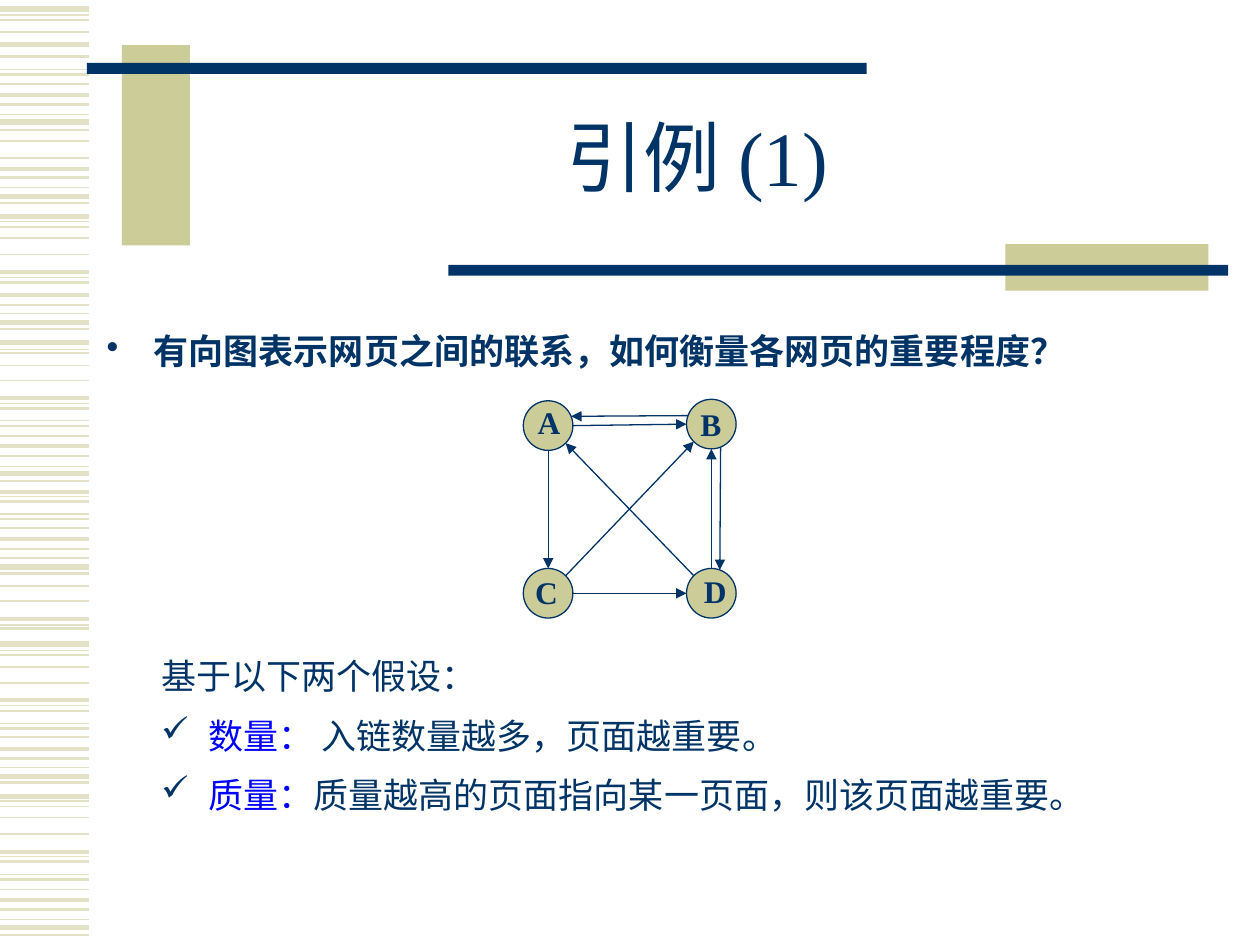
"""Build a slide that introduces page ranking with a small directed graph."""
from dataclasses import dataclass
from math import cos, radians, sin
from typing import NamedTuple

from lxml.etree import SubElement
from pptx import Presentation
from pptx.dml.color import RGBColor
from pptx.enum.shapes import MSO_CONNECTOR, MSO_SHAPE
from pptx.enum.text import MSO_ANCHOR, MSO_AUTO_SIZE, PP_ALIGN
from pptx.oxml.ns import qn
from pptx.util import Cm, Pt


@dataclass(frozen=True)
class Theme:
    navy: RGBColor = RGBColor(0x00, 0x33, 0x66)
    khaki: RGBColor = RGBColor(0xCC, 0xCC, 0x99)
    stripe: RGBColor = RGBColor(0xE3, 0xE2, 0xC7)
    accent: RGBColor = RGBColor(0x00, 0x00, 0xFF)
    font: str = "Times New Roman"
    title: float = 44
    body: float = 20
    label: float = 18
    hairline: float = 0.75
    leading: float = 28


class Area(NamedTuple):
    left: float
    top: float
    width: float
    height: float


class Node(NamedTuple):
    x: float
    y: float
    label_left: float
    label_top: float


class Edge(NamedTuple):
    source: str
    source_angle: float
    target: str
    target_angle: float


THEME = Theme()
RADIUS = 0.5
STRIPE_LENGTH = 1.8
STRIPES = {
    3: (0.18, 0.89, 2.46, 3.96, 4.37, 6.5, 6.91, 9.55, 11.43, 12.98, 15.65, 16.05, 18.69),
    2.25: (1.91, 3.4, 5.49, 5.94, 8.03, 8.99, 9.91, 10.87, 12.47, 14.12, 15.09, 17.17, 18.14),
    1.5: (1.14, 1.5, 2.11, 2.62, 3.58, 4.09, 5.69, 6.15, 6.63, 8.23, 8.59, 9.19, 9.7,
          10.11, 10.46, 11.07, 11.56, 12.67, 14.33, 14.68, 15.29, 15.77, 17.37, 17.73,
          18.34, 18.85),
    1: (0.41, 0.64, 1.7, 2.84, 3.18, 4.57, 4.8, 5.13, 7.11, 7.37, 7.67, 8.79, 10.64,
        11.81, 12.12, 13.21, 13.44, 13.77, 14.86, 16.26, 16.48, 16.81, 17.93),
    0.75: (0.3, 1.4, 2.31, 3.78, 4.47, 5.59, 6.32, 7.04, 8.13, 8.48, 9.4, 10.01, 10.36,
           11.25, 12.6, 13.11, 14.22, 14.58, 15.47, 16.15, 17.27, 17.63, 18.54),
}
BARS = (
    (Area(2.46, 0.91, 1.37, 4.04), THEME.khaki),
    (Area(1.75, 1.27, 15.72, 0.22), THEME.navy),
    (Area(20.27, 4.92, 4.09, 0.94), THEME.khaki),
    (Area(9.04, 5.34, 15.72, 0.22), THEME.navy),
)
NODES = {
    "A": Node(11.05, 8.58, 10.59, 8.0),
    "B": Node(14.34, 8.55, 13.87, 8.05),
    "C": Node(11.05, 11.96, 10.54, 11.43),
    "D": Node(14.34, 11.96, 13.94, 11.4),
}
EDGES = (
    Edge("A", 0, "B", 180),
    Edge("B", 200, "A", -22),
    Edge("D", -90, "B", 90),
    Edge("B", 68, "D", -70),
    Edge("D", 225, "A", 45),
    Edge("C", -45, "B", 135),
    Edge("C", 0, "D", 180),
    Edge("A", 90, "C", -90),
)
ASSUMPTIONS = (
    ("数量： ", "入链数量越多，页面越重要。"),
    ("质量：", "质量越高的页面指向某一页面，则该页面越重要。"),
)


def draw_shape(page, kind: MSO_SHAPE, area: Area, fill: RGBColor, outlined: bool = False):
    """Draw a flat preset shape, with a thin navy outline if asked."""
    shape = page.shapes.add_shape(kind, *map(Cm, area))
    shape.shadow.inherit = False
    shape.fill.solid()
    shape.fill.fore_color.rgb = fill
    if outlined:
        shape.line.color.rgb = THEME.navy
        shape.line.width = Pt(THEME.hairline)
    else:
        shape.line.fill.background()


def draw_line(page, start: tuple[float, float], end: tuple[float, float],
              color: RGBColor, weight: float, arrow: bool = False):
    """Draw a straight line, with an arrowhead at its end if asked."""
    line = page.shapes.add_connector(MSO_CONNECTOR.STRAIGHT, *map(Cm, (*start, *end)))
    line.line.color.rgb = color
    line.line.width = Pt(weight)
    if arrow:
        SubElement(line.line._get_or_add_ln(), qn("a:tailEnd"), type="triangle")
    SubElement(line._element.spPr, qn("a:effectLst"))


def add_span(para, text: str, *, size: float, color: RGBColor = THEME.navy,
             bold: bool = False):
    """Append formatted text to a paragraph."""
    span = para.add_run()
    span.text = text
    span.font.name = THEME.font
    span.font.size = Pt(size)
    span.font.bold = bold
    span.font.color.rgb = color


def format_body(para, *, bullet: str = "", before: float = 0):
    """Set body spacing and, if given, a hanging bullet."""
    para.line_spacing = Pt(THEME.leading)
    para.space_before = Pt(before)
    para.space_after = Pt(6)
    if bullet:
        properties = para._p.get_or_add_pPr()
        indent = Cm(0.95)
        properties.set("marL", str(indent))
        properties.set("indent", str(-indent))
        color = SubElement(properties, qn("a:buClr"))
        SubElement(color, qn("a:srgbClr"), val=str(THEME.navy))
        SubElement(properties, qn("a:buChar"), char=bullet)


def add_box(page, area: Area):
    """Add a wrapping text box and return its text frame."""
    frame = page.shapes.add_textbox(*map(Cm, area)).text_frame
    frame.word_wrap = True
    frame.auto_size = MSO_AUTO_SIZE.SHAPE_TO_FIT_TEXT
    return frame


def rim_point(node: Node, angle: float) -> tuple[float, float]:
    """Find the point on a node's rim at a clockwise angle."""
    turn = radians(angle)
    return node.x + RADIUS * cos(turn), node.y + RADIUS * sin(turn)


def draw_graph(page):
    """Draw the nodes, their links and their labels."""
    for node in NODES.values():
        area = Area(node.x - RADIUS, node.y - RADIUS, 2 * RADIUS, 2 * RADIUS)
        draw_shape(page, MSO_SHAPE.OVAL, area, THEME.khaki, outlined=True)
    for edge in EDGES:
        draw_line(page, rim_point(NODES[edge.source], edge.source_angle),
                  rim_point(NODES[edge.target], edge.target_angle),
                  THEME.navy, THEME.hairline, arrow=True)
    for name, node in NODES.items():
        frame = add_box(page, Area(node.label_left, node.label_top, 0.79, 1.02))
        add_span(frame.paragraphs[0], name, size=THEME.label, bold=True)


def write_title(page):
    """Place and fill the title."""
    title = page.shapes.title
    title.left, title.top, title.width, title.height = map(Cm, (3.81, 1.7, 20.5, 3.18))
    frame = title.text_frame
    frame.auto_size = MSO_AUTO_SIZE.NONE
    frame.vertical_anchor = MSO_ANCHOR.MIDDLE
    para = frame.paragraphs[0]
    para.alignment = PP_ALIGN.CENTER
    para.line_spacing = 0.85
    add_span(para, "引例 (1)", size=THEME.title)


def write_body(page):
    """Write the question and the two assumptions."""
    para = add_box(page, Area(1.9, 6.38, 20.6, 1.17)).paragraphs[0]
    format_body(para, bullet="•", before=6)
    add_span(para, "有向图表示网页之间的联系，如何衡量各网页的重要程度？", size=THEME.body, bold=True)
    frame = add_box(page, Area(3, 12.93, 19.41, 3.58))
    format_body(frame.paragraphs[0])
    add_span(frame.paragraphs[0], "基于以下两个假设：", size=THEME.body)
    for term, meaning in ASSUMPTIONS:
        para = frame.add_paragraph()
        format_body(para, bullet="✓")
        add_span(para, term, size=THEME.body, color=THEME.accent)
        add_span(para, meaning, size=THEME.body)


def main():
    """Build and save the deck."""
    deck = Presentation()
    deck.slide_width, deck.slide_height = Cm(25.4), Cm(19.05)
    page = deck.slides.add_slide(deck.slide_layouts[5])
    for weight, heights in STRIPES.items():
        for y in heights:
            draw_line(page, (0, y), (STRIPE_LENGTH, y), THEME.stripe, weight)
    for area, fill in BARS:
        draw_shape(page, MSO_SHAPE.RECTANGLE, area, fill)
    write_title(page)
    draw_graph(page)
    write_body(page)
    deck.save("out.pptx")


if __name__ == "__main__":
    main()
